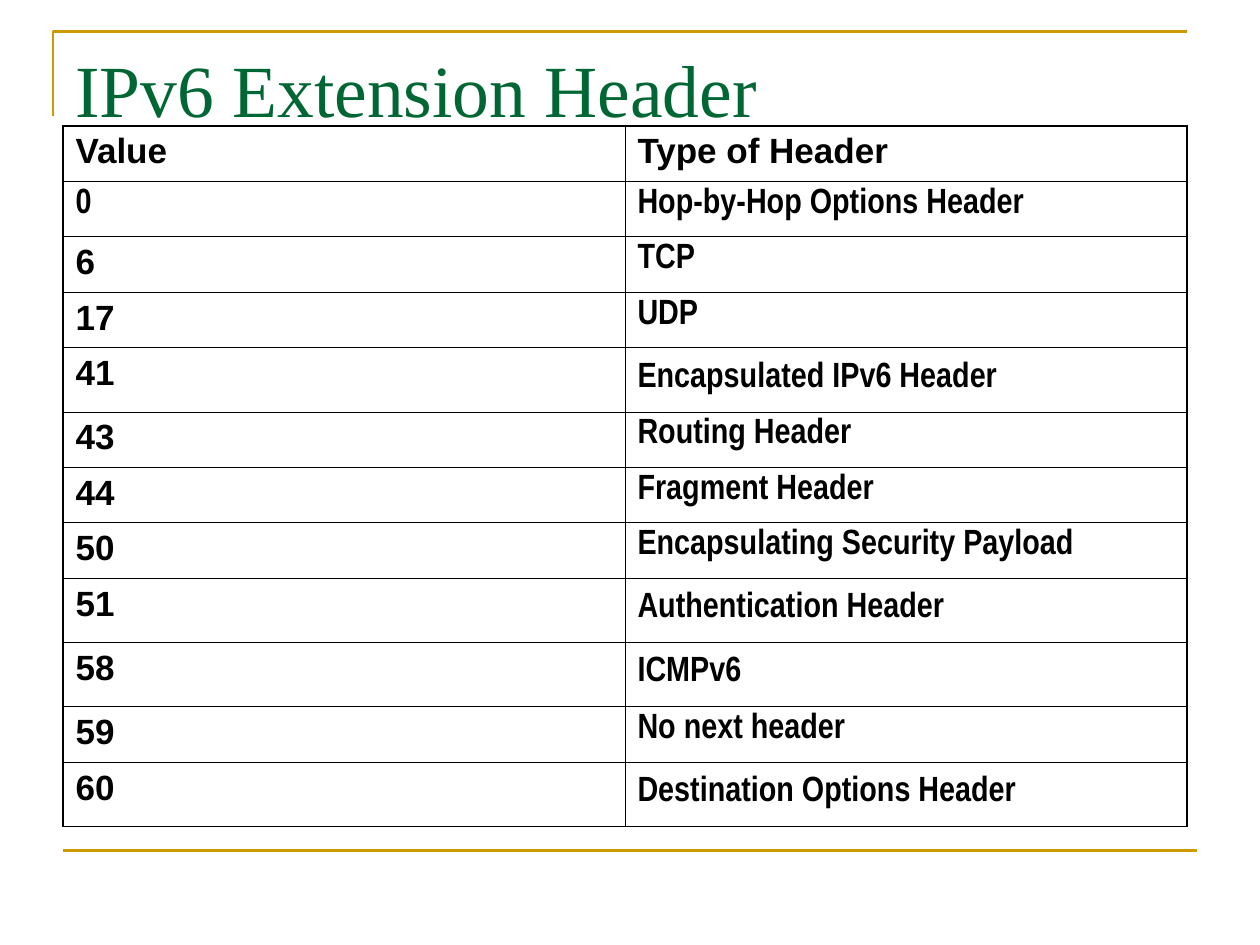
import pptx
import pptx.dml.color
import pptx.enum.text
import pptx.oxml
import pptx.oxml.ns
import pptx.util
from pptx.util import Inches

GOLD = pptx.dml.color.RGBColor(0xCC, 0x99, 0x00)
GREEN = pptx.dml.color.RGBColor(0x00, 0x66, 0x33)
BLACK = pptx.dml.color.RGBColor(0x00, 0x00, 0x00)

TITLE_FONT = {"name": "Times New Roman", "size": pptx.util.Pt(42)}
WIDE_FONT = {"name": "Arial", "size": pptx.util.Pt(20), "bold": True}
NARROW_FONT = {**WIDE_FONT, "name": "Arial Narrow"}

THIN, THICK = 0.45, 1.08
ROW_HEIGHT, TALL_ROW_HEIGHT = 0.44, 0.51
TALL_LINE_SPACING = 1.23
TALL_VALUES = {"41", "51", "58", "60"}
HEADERS = [
    ("Value", "Type of Header"),
    ("0", "Hop-by-Hop Options Header"),
    ("6", "TCP"),
    ("17", "UDP"),
    ("41", "Encapsulated IPv6 Header"),
    ("43", "Routing Header"),
    ("44", "Fragment Header"),
    ("50", "Encapsulating Security Payload"),
    ("51", "Authentication Header"),
    ("58", "ICMPv6"),
    ("59", "No next header"),
    ("60", "Destination Options Header"),
]


def write_text(para, text, font_format, color):
    """Add one formatted run to a paragraph."""
    span = para.add_run()
    span.text = text
    for name, value in font_format.items():
        setattr(span.font, name, value)
    span.font.color.rgb = color


def style_line(line):
    """Give a decorative line its colour and width."""
    line.color.rgb = GOLD
    line.width = pptx.util.Pt(1.5)


def add_corner(page):
    """Draw the open corner around the title."""
    builder = page.shapes.build_freeform(Inches(0.42), Inches(0.92))
    builder.add_line_segments(
        [(Inches(0.42), Inches(0.25)), (Inches(9.42), Inches(0.25))], close=False
    )
    corner = builder.convert_to_shape()
    corner.shadow.inherit = False
    corner.fill.background()
    style_line(corner.line)


def add_footer_rule(page):
    """Draw the rule below the table."""
    rule = page.shapes.add_connector(
        pptx.enum.shapes.MSO_CONNECTOR.STRAIGHT,
        Inches(0.5), Inches(6.75), Inches(9.5), Inches(6.75),
    )
    style_line(rule.line)
    pptx.oxml.ns.qn("a:effectLst")
    rule._element.spPr.append(
        pptx.oxml.parse_xml(f"<a:effectLst {pptx.oxml.ns.nsdecls('a')}/>")
    )


def add_title(page, text):
    """Add the slide title."""
    box = page.shapes.add_textbox(Inches(0.5), Inches(0.3), Inches(9), Inches(1.25))
    box.text_frame.word_wrap = True
    write_text(box.text_frame.paragraphs[0], text, TITLE_FONT, GREEN)


def set_borders(cell, widths):
    """Give each side of a cell a solid border of its own width."""
    properties = cell._tc.get_or_add_tcPr()
    for position, (side, width) in enumerate(widths.items()):
        properties.insert(position, pptx.oxml.parse_xml(
            f'<a:ln{side} {pptx.oxml.ns.nsdecls("a")} w="{pptx.util.Pt(width)}">'
            f'<a:solidFill><a:srgbClr val="{BLACK}"/></a:solidFill></a:ln{side}>'
        ))


def add_header_table(page):
    """Add the table of extension header values and types."""
    last_row = len(HEADERS) - 1
    heights = [
        TALL_ROW_HEIGHT if value in TALL_VALUES else ROW_HEIGHT for value, _ in HEADERS
    ]
    table = page.shapes.add_table(
        len(HEADERS), 2, Inches(0.5), Inches(1), Inches(8.92), Inches(sum(heights))
    ).table
    table.horz_banding = False
    for row_index, (texts, height) in enumerate(zip(HEADERS, heights)):
        table.rows[row_index].height = Inches(height)
        for column_index, text in enumerate(texts):
            cell = table.cell(row_index, column_index)
            cell.fill.background()
            set_borders(cell, {
                "L": THICK if column_index == 0 else THIN,
                "R": THICK if column_index == 1 else THIN,
                "T": THICK if row_index == 0 else THIN,
                "B": THICK if row_index == last_row else THIN,
            })
            para = cell.text_frame.paragraphs[0]
            is_narrow = text == "0" or (column_index == 1 and row_index > 0)
            if column_index == 1 and texts[0] in TALL_VALUES:
                para.line_spacing = TALL_LINE_SPACING
            write_text(para, text, NARROW_FONT if is_narrow else WIDE_FONT, BLACK)


def main():
    """Build and save the slide."""
    deck = pptx.Presentation()
    deck.slide_width, deck.slide_height = Inches(10), Inches(7.5)
    page = deck.slides.add_slide(deck.slide_layouts[6])
    add_corner(page)
    add_footer_rule(page)
    add_title(page, "IPv6 Extension Header")
    add_header_table(page)
    deck.save("out.pptx")


if __name__ == "__main__":
    main()
